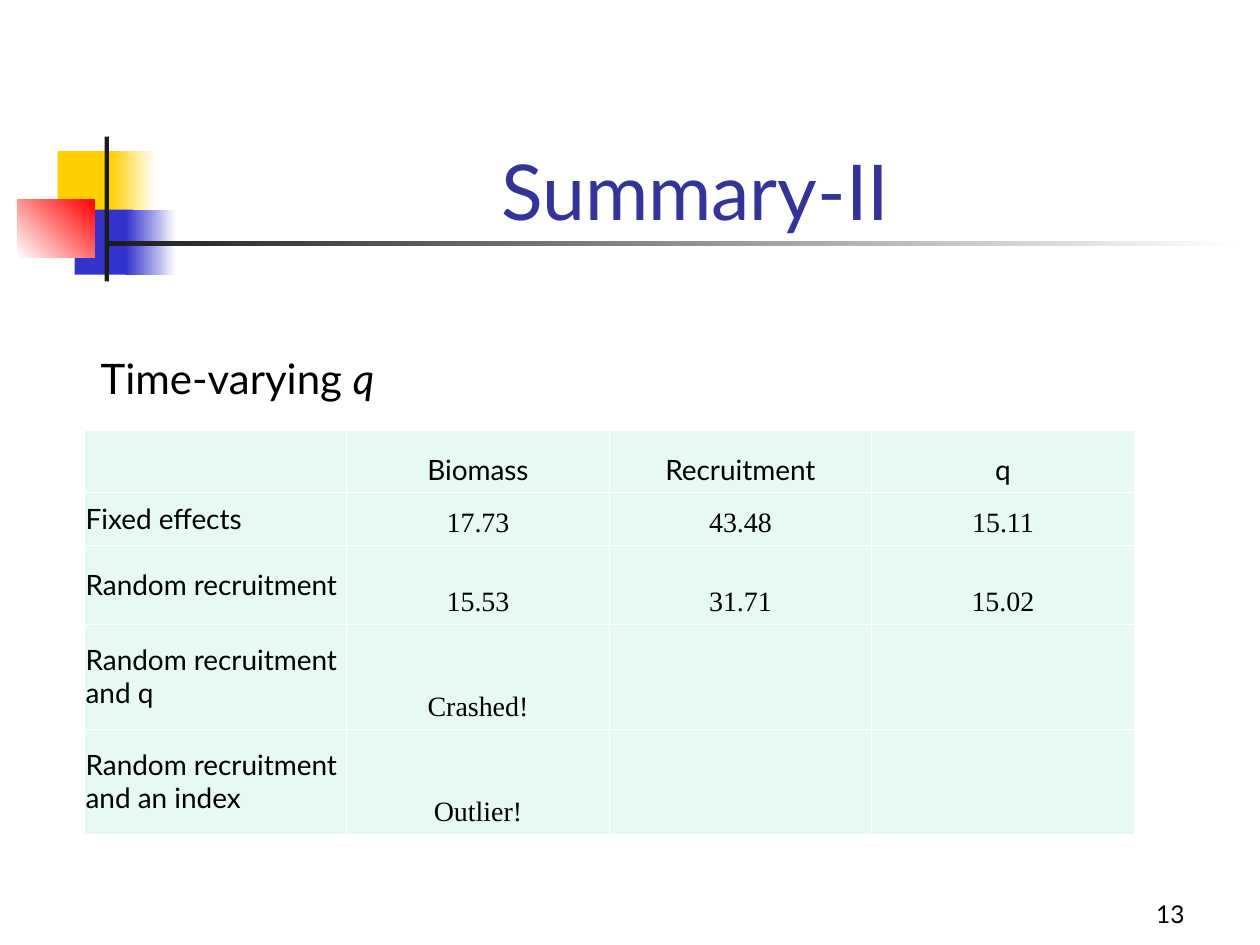
from lxml.etree import SubElement
from pptx import Presentation
from pptx.dml.color import RGBColor
from pptx.enum.shapes import MSO_SHAPE
from pptx.enum.text import MSO_ANCHOR, PP_ALIGN
from pptx.oxml.ns import qn
from pptx.util import Pt

SANS, SERIF = "Lato", "Times New Roman"
BLACK, WHITE, INK = "000000", "FFFFFF", "1C1C1C"
YELLOW, BLUE, RED = "FFCF01", "3333CC", "FF0000"
TITLE_BLUE, MINT = "333399", "E7FAF1"

RESULTS = [
    ["", "Biomass", "Recruitment", "q"],
    ["Fixed effects", "17.73", "43.48", "15.11"],
    ["Random recruitment", "15.53", "31.71", "15.02"],
    ["Random recruitment and q", "Crashed!", "", ""],
    ["Random recruitment and an index", "Outlier!", "", ""],
]
ROW_HEIGHTS = [35.4, 30, 45, 60, 60]
COLUMN_WIDTH = 150


def color(hex_string):
    return RGBColor.from_string(hex_string)


def style_paragraph(paragraph, size, font, hex_string, align):
    paragraph.alignment = align
    for run in paragraph.runs:
        run.font.size = Pt(size)
        run.font.name = font
        run.font.color.rgb = color(hex_string)


def add_block(slide, box, start, end=None, angle=0):
    """Borderless rectangle, plain or fading from start to end."""
    block = slide.shapes.add_shape(MSO_SHAPE.RECTANGLE, *map(Pt, box))
    block.shadow.inherit = False
    block.line.fill.background()
    if end is None:
        block.fill.solid()
        block.fill.fore_color.rgb = color(start)
        return
    block.fill.gradient()
    block.fill.gradient_angle = angle
    for stop, hex_string in zip(block.fill.gradient_stops, (start, end)):
        stop.color.rgb = color(hex_string)


def add_text(slide, box, parts, size, hex_string=BLACK, align=PP_ALIGN.LEFT,
             anchor=MSO_ANCHOR.TOP, wrap=True):
    """Text box with one paragraph; returns its runs."""
    frame = slide.shapes.add_textbox(*map(Pt, box)).text_frame
    frame.word_wrap = wrap
    frame.vertical_anchor = anchor
    paragraph = frame.paragraphs[0]
    for part in parts:
        paragraph.add_run().text = part
    style_paragraph(paragraph, size, SANS, hex_string, align)
    return paragraph.runs


def add_borders(cell, hex_string, width):
    properties = cell._tc.get_or_add_tcPr()
    for position, side in enumerate(("a:lnL", "a:lnR", "a:lnT", "a:lnB")):
        line = SubElement(properties, qn(side), w=str(Pt(width)))
        fill = SubElement(line, qn("a:solidFill"))
        SubElement(fill, qn("a:srgbClr"), val=hex_string)
        properties.insert(position, line)


def fill_cell(cell, text, is_label, font):
    cell.fill.solid()
    cell.fill.fore_color.rgb = color(MINT)
    add_borders(cell, WHITE, 0.45)
    cell.margin_left = cell.margin_right = Pt(0.75)
    cell.margin_top = cell.margin_bottom = Pt(3.6)
    cell.vertical_anchor = MSO_ANCHOR.MIDDLE if is_label else MSO_ANCHOR.BOTTOM
    if text:
        cell.text_frame.text = text
        align = PP_ALIGN.LEFT if is_label else PP_ALIGN.CENTER
        style_paragraph(cell.text_frame.paragraphs[0], 16, font, BLACK, align)


def add_results(slide, left, top):
    columns = len(RESULTS[0])
    table = slide.shapes.add_table(
        len(RESULTS), columns, Pt(left), Pt(top),
        Pt(COLUMN_WIDTH * columns), Pt(sum(ROW_HEIGHTS))).table
    for column in table.columns:
        column.width = Pt(COLUMN_WIDTH)
    for r, (values, height) in enumerate(zip(RESULTS, ROW_HEIGHTS)):
        table.rows[r].height = Pt(height)
        for c, text in enumerate(values):
            font = SANS if r == 0 or c == 0 else SERIF
            fill_cell(table.cell(r, c), text, c == 0, font)


def add_ornament(slide):
    add_block(slide, (33, 86.4, 34.8, 37.2), YELLOW)
    add_block(slide, (63.2, 86.4, 25.8, 37.2), YELLOW, WHITE)
    add_block(slide, (42.6, 119.8, 33.2, 37.2), BLUE)
    add_block(slide, (72, 119.8, 28.8, 37.2), BLUE, WHITE)
    add_block(slide, (9.8, 113.8, 44.2, 33.2), WHITE, RED, angle=45)
    add_block(slide, (59.8, 78, 2.4, 82.8), INK)
    add_block(slide, (59.8, 137.9, 648, 2.8), INK, WHITE)


def main():
    presentation = Presentation()
    presentation.slide_width, presentation.slide_height = Pt(720), Pt(540)
    slide = presentation.slides.add_slide(presentation.slide_layouts[6])

    # Corner ornament and rule
    add_ornament(slide)

    # Title and page number
    add_text(slide, (90.7, 48.2, 613.4, 90), ["Summary-II"], 44, TITLE_BLUE,
             PP_ALIGN.CENTER, MSO_ANCHOR.BOTTOM)
    add_text(slide, (534.2, 498.2, 149.8, 36), ["13"], 14,
             align=PP_ALIGN.RIGHT, anchor=MSO_ANCHOR.BOTTOM)

    # Table with its heading
    add_results(slide, 48.2, 246.2)
    heading = add_text(slide, (50.4, 198, 181.4, 36), ["Time-varying ", "q"],
                       24, wrap=False)
    heading[-1].font.italic = True

    presentation.save("out.pptx")


if __name__ == "__main__":
    main()
